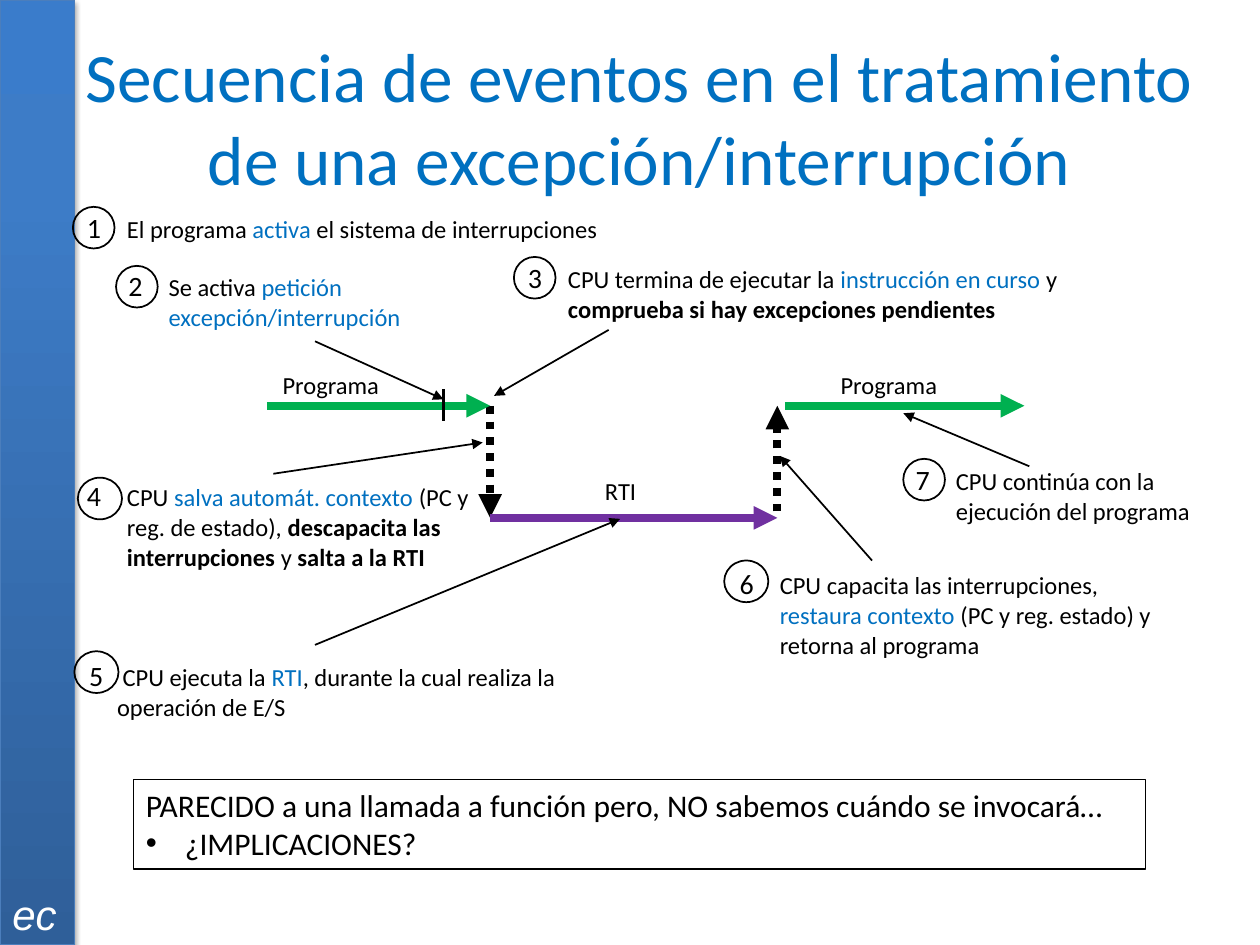
from pptx import Presentation
from pptx import util as u
from pptx.dml.color import RGBColor
from pptx.enum import dml, shapes, text
from pptx.oxml import parse_xml
from pptx.oxml.ns import nsdecls

COLORS = {
    "black": "000000", "white": "FFFFFF", "accent": "0070C0",
    "program": "00B050", "routine": "7030A0", "bar_line": "4B7EBC",
    "bar_low": "2F5F99", "bar_high": "3D7CC7", "bar_top": "3A7CCB",
}


def rgb(name):
    return RGBColor.from_string(COLORS[name])


def xml(tag, content="", attributes=""):
    return parse_xml(f"<a:{tag} {nsdecls('a')} {attributes}>{content}</a:{tag}>")


def add_text(paragraph, content, size=14, color="black", font="Calibri",
             bold=False, italic=False):
    run = paragraph.add_run()
    run.text = content
    run.font.size, run.font.name = u.Pt(size), font
    run.font.bold, run.font.italic = bold, italic
    run.font.color.rgb = rgb(color)


class SlideBuilder:
    HANG = 0.81
    CIRCLE = 0.84

    def __init__(self, slide):
        self.slide = slide

    def text_box(self, left, top, width, height, wrap=True, grow=True,
                 anchor=text.MSO_ANCHOR.MIDDLE):
        box = self.slide.shapes.add_textbox(*map(u.Cm, (left, top, width, height)))
        frame = box.text_frame
        frame.word_wrap = wrap
        frame.auto_size = (text.MSO_AUTO_SIZE.SHAPE_TO_FIT_TEXT if grow
                           else text.MSO_AUTO_SIZE.NONE)
        frame.vertical_anchor = anchor
        return frame

    def label(self, content, left, top, width):
        paragraph = self.text_box(left, top, width, 0.84, wrap=False).paragraphs[0]
        paragraph.alignment = text.PP_ALIGN.CENTER
        paragraph.space_before = u.Pt(2.8)
        add_text(paragraph, content)

    def shape(self, kind, left, top, width, height, line="black", weight=1):
        shape = self.slide.shapes.add_shape(
            kind, *map(u.Cm, (left, top, width, height)))
        shape.shadow.inherit = False
        shape.fill.background()
        shape.line.color.rgb = rgb(line)
        shape.line.width = u.Pt(weight)
        return shape

    def side_bar(self, width, height):
        shape = self.shape(shapes.MSO_SHAPE.RECTANGLE, 0, 0, width, height,
                           line="bar_line", weight=0.75)
        properties = shape._element.spPr
        stops = "".join(
            f'<a:gs pos="{position * 1000}"><a:srgbClr val="{COLORS[name]}"/></a:gs>'
            for position, name in ((0, "bar_low"), (80, "bar_high"), (100, "bar_top")))
        properties.replace(
            properties.find("{*}noFill"),
            xml("gradFill", f'<a:gsLst>{stops}</a:gsLst><a:lin ang="16200000"/>'))
        properties.find("{*}effectLst").append(xml(
            "outerShdw",
            f'<a:srgbClr val="{COLORS["black"]}"><a:alpha val="35000"/></a:srgbClr>',
            'blurRad="39370" dist="22860" dir="5400000" rotWithShape="0"'))

    def line(self, start, end, color="black", weight=1, arrow=True, dotted=False):
        connector = self.slide.shapes.add_connector(
            shapes.MSO_CONNECTOR.STRAIGHT, *map(u.Cm, start + end))
        connector.line.color.rgb = rgb(color)
        connector.line.width = u.Pt(weight)
        if dotted:
            connector.line.dash_style = dml.MSO_LINE.ROUND_DOT
        if arrow:
            connector.line._get_or_add_ln().append(
                xml("tailEnd", attributes='type="triangle"'))
        connector._element.spPr.append(xml("effectLst"))

    def step(self, number, circle, box, runs, circle_width=CIRCLE, first=-HANG):
        self.shape(shapes.MSO_SHAPE.OVAL, *circle, circle_width, self.CIRCLE)
        paragraph = self.text_box(*box).paragraphs[0]
        paragraph.space_before = u.Pt(3.2)
        properties = paragraph._p.get_or_add_pPr()
        properties.set("marL", str(u.Cm(self.HANG)))
        properties.set("indent", str(u.Cm(first)))
        properties.append(xml("tabLst", f'<a:tab pos="{u.Cm(self.HANG)}" algn="l"/>'))
        add_text(paragraph, number, size=16)
        add_text(paragraph, "\t")
        for content, style in runs:
            add_text(paragraph, content, bold=style == "bold",
                     color="accent" if style == "accent" else "black")


def main():
    presentation = Presentation()
    presentation.slide_width, presentation.slide_height = u.Cm(25.4), u.Cm(19.05)
    builder = SlideBuilder(presentation.slides.add_slide(presentation.slide_layouts[6]))

    # Side bar and title
    builder.side_bar(1.5, 19.05)
    mark = builder.text_box(0, 17.78, 1.42, 1.27, wrap=False,
                            anchor=text.MSO_ANCHOR.TOP)
    add_text(mark.paragraphs[0], "ec", size=24, font="Arial", color="white", italic=True)
    title = builder.text_box(1.27, 0.76, 23.24, 3.18, grow=False).paragraphs[0]
    title.alignment = text.PP_ALIGN.CENTER
    add_text(title, "Secuencia de eventos en el tratamiento de una excepción/interrupción",
             size=39.6, color="accent")

    # Execution flow: program, jump, routine, return, program
    top, bottom, jump, back = 8.18, 10.44, 9.88, 15.67
    builder.line((jump, top), (jump, bottom), weight=4.5, dotted=True)
    builder.line((jump, bottom), (back, bottom), "routine", 4.5)
    builder.line((back, 10.31), (back, top), weight=4.5, dotted=True)
    builder.line((5.38, top), (jump, top), "program", 4.5)
    builder.line((15.82, top), (20.65, top), "program", 4.5)
    builder.line((8.94, 7.85), (8.94, 8.48), weight=2, arrow=False)
    builder.label("RTI", 11.86, 9.47, 1.3)
    for left in (5.26, 16.51):
        builder.label("Programa", left, 7.34, 2.82)

    # Pointers from the steps to the flow
    for start, end in (
        ((6.35, 6.88), (8.94, 8.05)),
        ((12.27, 6.65), (9.96, 7.98)),
        ((5.51, 9.55), (9.73, 8.92)),
        ((6.35, 13), (12.5, 10.46)),
        ((17.58, 11.3), (15.72, 9.19)),
        ((20.75, 9.4), (18.21, 8.33)),
    ):
        builder.line(start, end)

    # Numbered steps
    wide = 0.89
    builder.step("1", (1.47, 4.17), (1.5, 4.11, 11.43, 0.94), [
        ("El programa ", ""), ("activa", "accent"),
        (" el sistema de interrupciones", "")])
    builder.step("2", (2.34, 5.36), (2.34, 5.28, 7.19, 1.55), [
        ("Se activa ", ""), ("petición excepción/interrupción", "accent")])
    builder.step("3", (10.36, 5.18), (10.39, 5.13, 13.11, 1.52), [
        ("CPU termina de ejecutar la ", ""), ("instrucción en curso ", "accent"),
        ("y ", ""), ("comprueba si hay excepciones pendientes", "bold")])
    builder.step("4", (1.57, 9.63), (1.5, 9.52, 8.46, 2.13), [
        ("CPU ", ""), ("salva automát. contexto ", "accent"),
        ("(PC y reg. de estado), ", ""), ("descapacita las interrupciones ", "bold"),
        ("y ", ""), ("salta a la RTI", "bold")], circle_width=wide)
    builder.step("5", (1.5, 13.13), (1.3, 13.13, 11, 1.55), [
        (" CPU ejecuta la ", ""), ("RTI", "accent"),
        (", durante la cual realiza la operación de E/S", "")],
        circle_width=wide, first=-0.56)
    builder.step("6", (14.6, 11.3), (14.66, 11.3, 9.32, 2.11), [
        ("CPU capacita las interrupciones, ", ""), ("restaura contexto ", "accent"),
        ("(PC y reg. estado) y retorna al programa", "")], circle_width=wide)
    builder.step("7", (18.21, 9.25), (18.21, 9.19, 7.19, 1.52), [
        ("CPU continúa con la ejecución del programa", "")])

    # Closing remark
    remark = builder.shape(shapes.MSO_SHAPE.RECTANGLE, 2.69, 15.72, 20.4, 1.8,
                           weight=0.75).text_frame
    remark.word_wrap = True
    remark.vertical_anchor = text.MSO_ANCHOR.TOP
    lines = ("PARECIDO a una llamada a función pero, NO sabemos cuándo se invocará…",
             "¿IMPLICACIONES?")
    for paragraph, content in zip((remark.paragraphs[0], remark.add_paragraph()), lines):
        paragraph.alignment = text.PP_ALIGN.LEFT
        add_text(paragraph, content, size=18)
    properties = paragraph._p.get_or_add_pPr()
    properties.set("marL", str(u.Cm(0.79)))
    properties.set("indent", str(u.Cm(-0.79)))
    properties.append(xml("buFont", attributes='typeface="Arial"'))
    properties.append(xml("buChar", attributes='char="•"'))

    presentation.save("out.pptx")


if __name__ == "__main__":
    main()
